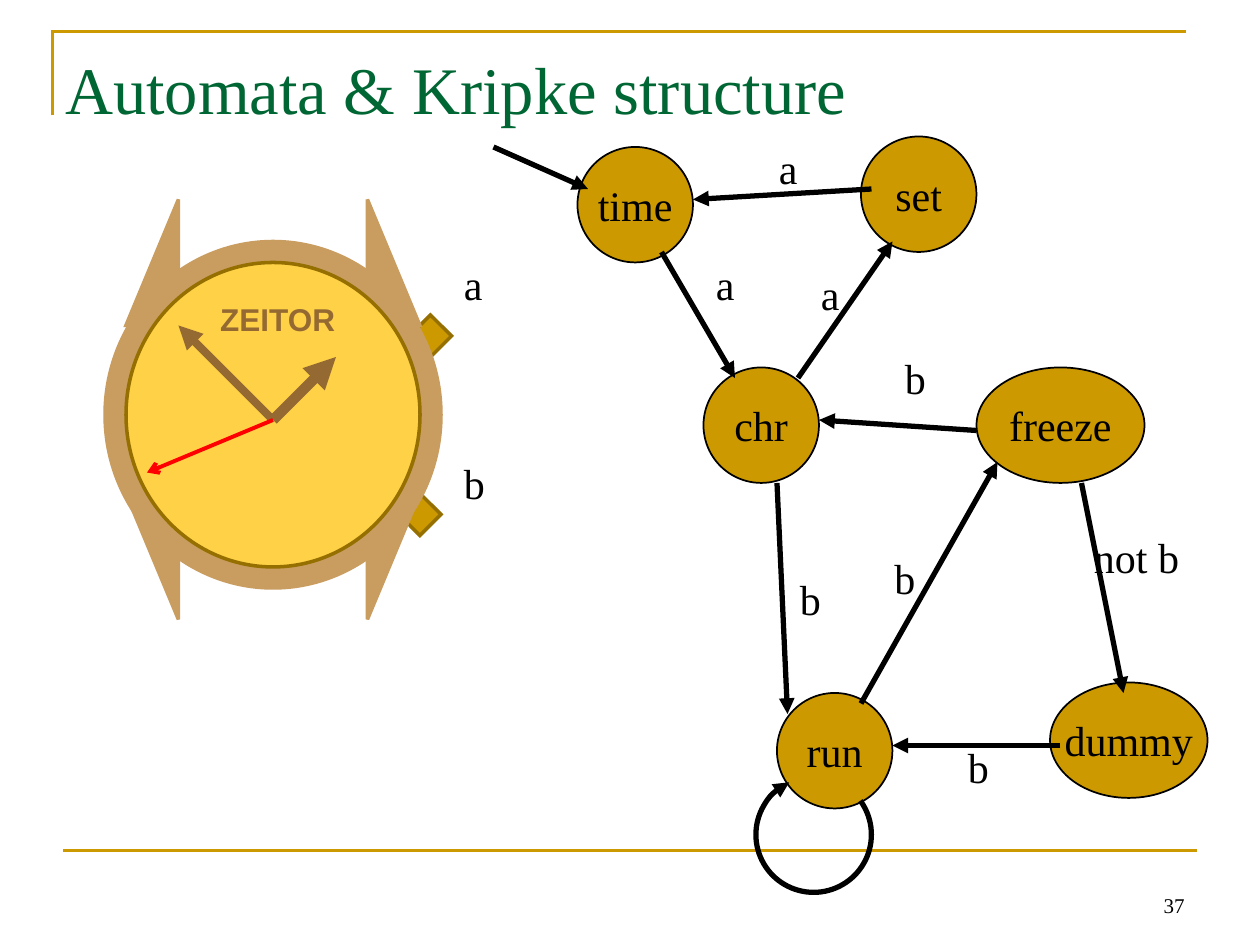
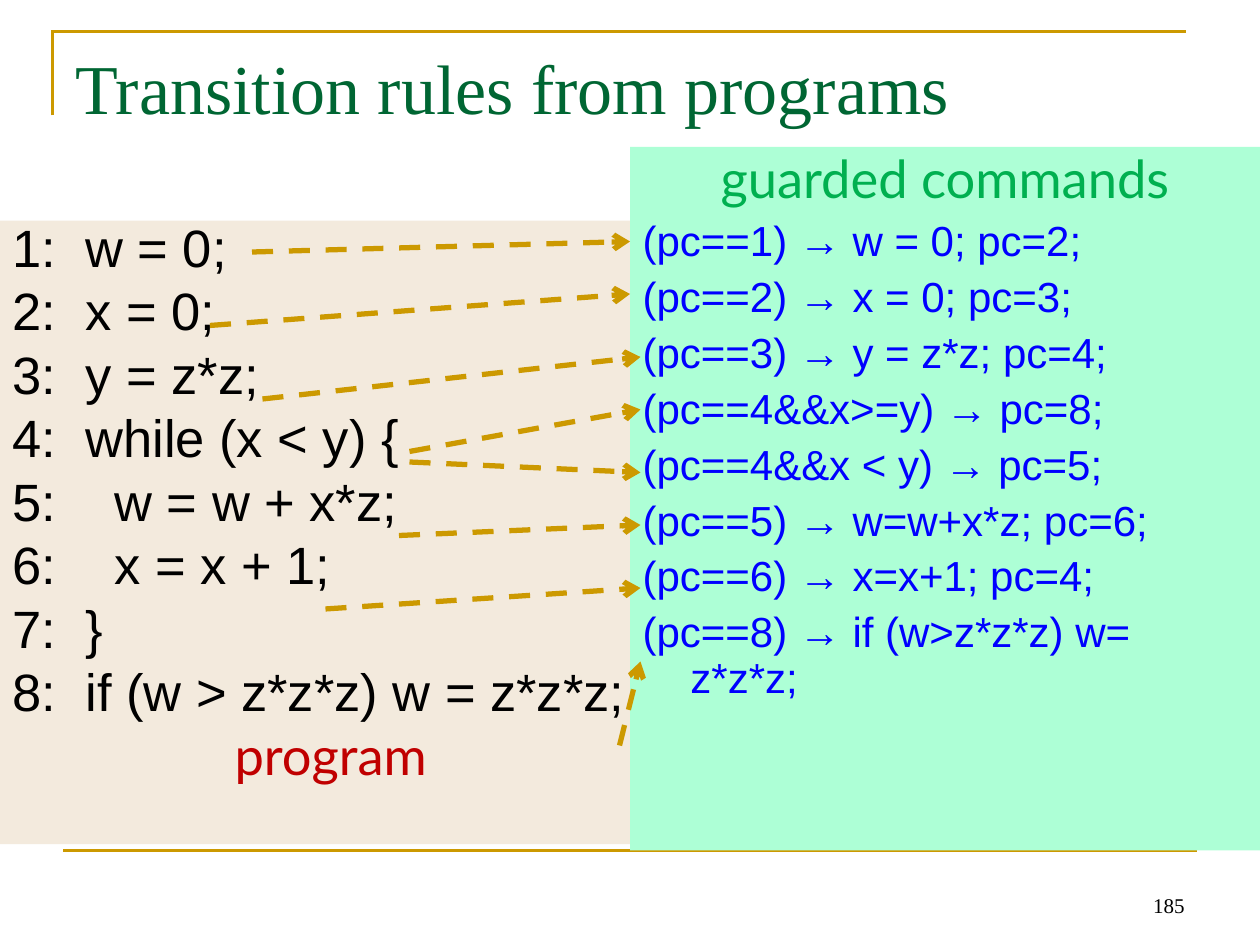
from typing import NamedTuple

from lxml import etree
from pptx import Presentation
from pptx.dml.color import RGBColor
from pptx.enum.dml import MSO_LINE
from pptx.enum.shapes import MSO_CONNECTOR, MSO_SHAPE
from pptx.enum.text import MSO_ANCHOR, MSO_AUTO_SIZE, PP_ALIGN
from pptx.oxml.ns import qn
from pptx.util import Inches, Pt

STRAIGHT = MSO_CONNECTOR.STRAIGHT
DASH = MSO_LINE.DASH
ELLIPSE, ARC = MSO_SHAPE.OVAL, MSO_SHAPE.ARC
DIAMOND, TRIANGLE = MSO_SHAPE.DIAMOND, MSO_SHAPE.RIGHT_TRIANGLE
LEFT, CENTER, RIGHT = PP_ALIGN.LEFT, PP_ALIGN.CENTER, PP_ALIGN.RIGHT
TOP, MIDDLE, BOTTOM = MSO_ANCHOR.TOP, MSO_ANCHOR.MIDDLE, MSO_ANCHOR.BOTTOM
NO_AUTOFIT = MSO_AUTO_SIZE.NONE

SERIF, SANS, HEADING = "Times New Roman", "Arial", "Lato"
BLACK, GOLD, GREEN = "000000", "CC9900", "006633"
STRAP, DIAL, DIAL_EDGE, HAND, RED = "C99C60", "FFD147", "956F00", "946A32", "FF0000"
TITLE_ONLY, TWO_CONTENT = 5, 3
GRID_STEPS_PER_INCH = 12
ANGLE_UNITS_PER_DEGREE = 0.6


class Box(NamedTuple):
    left: float
    top: float
    width: float
    height: float


class TextStyle(NamedTuple):
    size: float
    font: str = SERIF
    color: str = BLACK
    bold: bool = False


class Stroke(NamedTuple):
    color: str
    width: float
    head: str = ""
    dash: MSO_LINE | None = None


class State(NamedTuple):
    name: str
    box: Box


class Label(NamedTuple):
    text: str
    left: float
    top: float
    width: float = 0.33


class Arrow(NamedTuple):
    start: tuple[float, float]
    end: tuple[float, float]


class Panel(NamedTuple):
    box: Box
    fill: str
    line_spacing: float
    space_before: float
    heading_index: int
    heading: TextStyle
    code: TextStyle
    lines: list[str]


LABEL = TextStyle(24)
FRAME = Stroke(GOLD, 1.5)
TRANSITION = Stroke(BLACK, 3, "triangle")
MAPPING = Stroke(GOLD, 3, "arrow", DASH)

STATES = [
    State("time", Box(4.58, 1.17, 0.92, 0.92)),
    State("set", Box(6.83, 1.08, 0.92, 0.92)),
    State("run", Box(6.17, 5.5, 0.92, 0.92)),
    State("dummy", Box(8.33, 5.42, 1.25, 0.92)),
    State("freeze", Box(7.75, 2.92, 1.33, 0.92)),
    State("chr", Box(5.58, 2.92, 0.92, 0.92)),
]
TRANSITIONS = [
    Arrow((3.92, 1.17), (4.67, 1.5)),
    Arrow((5.25, 2), (5.83, 3)),
    Arrow((6.33, 3), (7.08, 1.92)),
    Arrow((6.92, 1.5), (5.5, 1.58)),
    Arrow((6.17, 3.83), (6.25, 5.67)),
    Arrow((6.83, 5.58), (7.92, 3.67)),
    Arrow((7.75, 3.42), (6.5, 3.33)),
    Arrow((8.58, 3.83), (8.92, 5.5)),
    Arrow((8.42, 5.92), (7.08, 5.92)),
]
LABELS = [
    Label("a", 5.58, 2), Label("a", 6.08, 1.08), Label("a", 6.42, 2.08),
    Label("b", 7.08, 2.75), Label("b", 7.58, 5.83), Label("b", 7, 4.33),
    Label("b", 6.25, 4.5), Label("not b", 8.58, 4.17, 1.42),
    Label("a", 3.58, 2), Label("b", 3.58, 3.58),
]
PROGRAM = Panel(
    Box(0, 1.75, 5.25, 4.95), "F3EADD", 0.8, 7.5, 8,
    TextStyle(30, HEADING, "C00000"), TextStyle(30, SANS),
    [
        "1:  w = 0;",
        "2:  x = 0;",
        "3:  y = z*z;",
        "4:  while (x < y) {",
        "5:    w = w + x*z;",
        "6:    x = x + 1;",
        "7:  }",
        "8:  if (w > z*z*z) w = z*z*z;",
        "program",
    ],
)
GUARDED_COMMANDS = Panel(
    Box(5, 1.17, 5, 5.58), "ADFFD6", 0.9, 6, 0,
    TextStyle(30, HEADING, "00B050"), TextStyle(24, SANS, "0000FF"),
    [
        "guarded commands",
        "(pc==1) → w = 0; pc=2;",
        "(pc==2) → x = 0; pc=3;",
        "(pc==3) → y = z*z; pc=4;",
        "(pc==4&&x>=y) → pc=8;",
        "(pc==4&&x < y) → pc=5;",
        "(pc==5) → w=w+x*z; pc=6;",
        "(pc==6) → x=x+1; pc=4;",
        "(pc==8) → if (w>z*z*z) w= z*z*z;",
    ],
)
MAPPINGS = [
    Arrow((2, 2), (5, 1.92)),
    Arrow((1.67, 2.58), (5, 2.33)),
    Arrow((2.08, 3.17), (5.08, 2.83)),
    Arrow((3.25, 3.67), (5.08, 3.75)),
    Arrow((3.25, 3.58), (5.08, 3.25)),
    Arrow((3.17, 4.25), (5.08, 4.17)),
    Arrow((2.58, 4.83), (5.08, 4.67)),
    Arrow((4.92, 5.92), (5.08, 5.25)),
]


def rgb(color: str) -> RGBColor:
    return RGBColor.from_string(color)


def snap(value: float) -> int:
    nearest = round(value * GRID_STEPS_PER_INCH) / GRID_STEPS_PER_INCH
    return Inches(nearest if abs(nearest - value) < 0.01 else value)


def place(shape, box: Box) -> None:
    shape.left, shape.top, shape.width, shape.height = map(snap, box)


def style_runs(paragraph, style: TextStyle) -> None:
    for run in paragraph.runs:
        run.font.name = style.font
        run.font.size = Pt(style.size)
        run.font.bold = style.bold
        run.font.color.rgb = rgb(style.color)


def write(shape, text: str, style: TextStyle, align: PP_ALIGN = LEFT,
          anchor: MSO_ANCHOR = TOP, wrap: bool = True) -> None:
    frame = shape.text_frame
    frame.text = text
    frame.word_wrap = wrap
    frame.auto_size = NO_AUTOFIT
    frame.vertical_anchor = anchor
    frame.paragraphs[0].alignment = align
    style_runs(frame.paragraphs[0], style)


def apply_stroke(shape, stroke: Stroke) -> None:
    shape.line.color.rgb = rgb(stroke.color)
    shape.line.width = Pt(stroke.width)
    if stroke.dash:
        shape.line.dash_style = stroke.dash
    outline = shape.element.spPr.find(qn("a:ln"))
    etree.SubElement(outline, qn("a:miter"), lim="800000")
    if stroke.head:
        etree.SubElement(outline, qn("a:tailEnd"), type=stroke.head)


def paint(shape, fill: str | None, stroke: Stroke):
    shape.shadow.inherit = False
    if fill:
        shape.fill.solid()
        shape.fill.fore_color.rgb = rgb(fill)
    else:
        shape.fill.background()
    apply_stroke(shape, stroke)
    return shape


def add_text(slide, box: Box, text: str, style: TextStyle, align: PP_ALIGN = LEFT,
             anchor: MSO_ANCHOR = TOP, wrap: bool = True) -> None:
    write(slide.shapes.add_textbox(*map(snap, box)), text, style, align, anchor, wrap)


def add_shape(slide, kind: MSO_SHAPE, box: Box, fill: str | None, stroke: Stroke):
    return paint(slide.shapes.add_shape(kind, *map(snap, box)), fill, stroke)


def add_line(slide, arrow: Arrow, stroke: Stroke):
    connector = slide.shapes.add_connector(STRAIGHT, *map(snap, arrow.start + arrow.end))
    apply_stroke(connector, stroke)
    etree.SubElement(connector.element.spPr, qn("a:effectLst"))
    return connector


def add_frame_to_master(presentation, slide) -> None:
    builder = slide.shapes.build_freeform(snap(0.42), snap(0.92))
    corners = [(0.42, 0.25), (9.42, 0.25)]
    builder.add_line_segments([(snap(x), snap(y)) for x, y in corners], close=False)
    corner_line = paint(builder.convert_to_shape(), None, FRAME)
    footer_line = add_line(slide, Arrow((0.5, 6.75), (9.5, 6.75)), FRAME)
    for number, shape in enumerate([corner_line, footer_line], start=101):
        shape.element.find(".//" + qn("p:cNvPr")).set("id", str(number))
        presentation.slide_master.shapes.element.append(shape.element)


def add_slide(presentation, layout: int, title: str, title_box: Box, title_size: float,
              number: str):
    slide = presentation.slides.add_slide(presentation.slide_layouts[layout])
    place(slide.shapes.title, title_box)
    write(slide.shapes.title, title, TextStyle(title_size, color=GREEN))
    add_text(slide, Box(7.17, 6.83, 2.33, 0.5), number, TextStyle(12), RIGHT, BOTTOM)
    return slide


def draw_watch(slide) -> None:
    for left, top in [(3.17, 3.92), (3.25, 2.5)]:
        add_shape(slide, DIAMOND, Box(left, top, 0.33, 0.33), GOLD, Stroke(DIAL_EDGE, 2))
    for top, flip_vertical in [(3.92, "1"), (1.58, "0")]:
        for left, flip_horizontal in [(1, "1"), (2.92, "0")]:
            strap = add_shape(slide, TRIANGLE, Box(left, top, 0.42, 1), STRAP, Stroke(STRAP, 2))
            transform = strap.element.spPr.find(qn("a:xfrm"))
            transform.set("flipH", flip_horizontal)
            transform.set("flipV", flip_vertical)
    add_shape(slide, ELLIPSE, Box(0.83, 1.92, 2.67, 2.75), STRAP, Stroke(STRAP, 2))
    add_shape(slide, ELLIPSE, Box(1, 2.08, 2.33, 2.42), DIAL, Stroke(DIAL_EDGE, 2))
    for tip, stroke in [((1.42, 2.58), Stroke(HAND, 4.5, "triangle")),
                        ((2.67, 2.83), Stroke(HAND, 6, "triangle")),
                        ((1.17, 3.75), Stroke(RED, 2.25, "arrow"))]:
        add_line(slide, Arrow((2.17, 3.33), tip), stroke)
    add_text(slide, Box(1.59, 2.33, 1.24, 0.4), "ZEITOR",
             TextStyle(18, SANS, HAND, True), CENTER, wrap=False)


def draw_automaton(slide) -> None:
    for state in STATES:
        shape = add_shape(slide, ELLIPSE, state.box, GOLD, Stroke(BLACK, 1))
        write(shape, state.name, LABEL, CENTER, MIDDLE, wrap=False)
    for arrow in TRANSITIONS:
        add_line(slide, arrow, TRANSITION)
    self_loop = add_shape(slide, ARC, Box(6, 6.17, 0.92, 0.92), None, TRANSITION)
    for index, degrees in enumerate([324, 245]):
        self_loop.adjustments[index] = degrees * ANGLE_UNITS_PER_DEGREE
    for label in LABELS:
        add_text(slide, Box(label.left, label.top, label.width, 0.5), label.text, LABEL)


def fill_panel(placeholder, panel: Panel) -> None:
    place(placeholder, panel.box)
    placeholder.fill.solid()
    placeholder.fill.fore_color.rgb = rgb(panel.fill)
    frame = placeholder.text_frame
    frame.text = "\n".join(panel.lines)
    frame.word_wrap = True
    frame.auto_size = NO_AUTOFIT
    frame.vertical_anchor = TOP
    for index, paragraph in enumerate(frame.paragraphs):
        is_heading = index == panel.heading_index
        properties = paragraph._p.get_or_add_pPr()
        properties.set("marL", str(Inches(0.38)))
        properties.set("indent", str(Inches(-0.38)))
        etree.SubElement(properties, qn("a:buNone"))
        paragraph.alignment = CENTER if is_heading else LEFT
        paragraph.line_spacing = panel.line_spacing
        paragraph.space_before = Pt(panel.space_before if index else 0)
        style_runs(paragraph, panel.heading if is_heading else panel.code)


def main() -> None:
    presentation = Presentation()
    presentation.slide_width, presentation.slide_height = Inches(10), Inches(7.5)

    slide = add_slide(presentation, TITLE_ONLY, "Automata & Kripke structure",
                      Box(0.42, 0.33, 9, 1.25), 38, "37")
    add_frame_to_master(presentation, slide)
    draw_watch(slide)
    draw_automaton(slide)

    slide = add_slide(presentation, TWO_CONTENT, "Transition rules from programs",
                      Box(0.5, 0.3, 9.5, 1.25), 40, "185")
    fill_panel(slide.placeholders[1], PROGRAM)
    fill_panel(slide.placeholders[2], GUARDED_COMMANDS)
    for arrow in MAPPINGS:
        add_line(slide, arrow, MAPPING)

    presentation.save("out.pptx")


if __name__ == "__main__":
    main()
